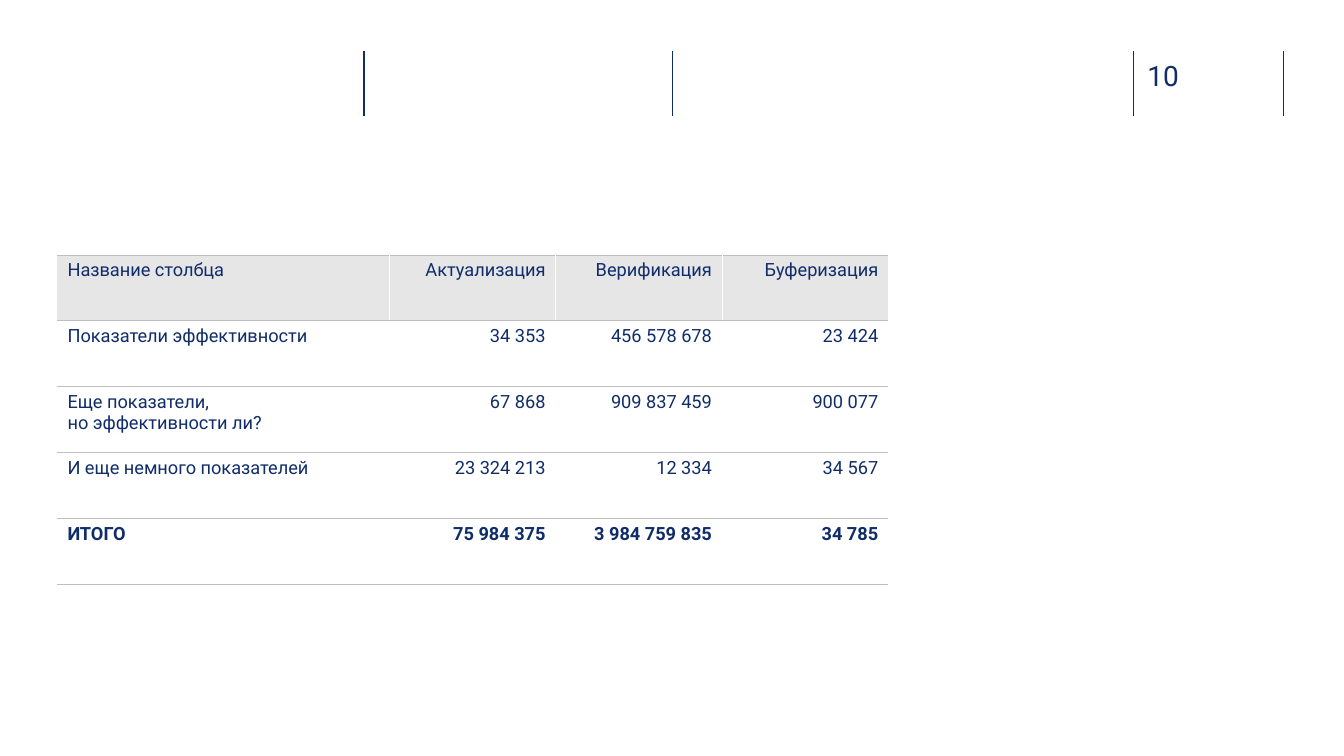
"""Build a slide with a header rule row, a page number and a table of indicators."""
from copy import deepcopy
from lxml import etree
from pptx import Presentation, util as u
from pptx.dml.color import RGBColor
from pptx.enum import shapes, text
from pptx.oxml.ns import qn

NAVY, GRAY, HEAD, WHITE = "102D69", "BFBFBF", "E7E6E6", "FFFFFF"
FONT = "Roboto"
PAGE = "10"
ROWS = [
    ("Название столбца", "Актуализация", "Верификация", "Буферизация"),
    ("Показатели эффективности", "34 353", "456 578 678", "23 424"),
    ("Еще показатели, \nно эффективности ли?", "67 868", "909 837 459", "900 077"),
    ("И еще немного показателей", "23 324 213", "12 334", "34 567"),
    ("ИТОГО", "75 984 375", "3 984 759 835", "34 785"),
]
COL_WIDTHS = (3.29, 1.65, 1.65, 1.65)
TABLE_LEFT, TABLE_TOP, TABLE_HEIGHT = 0.57, 2.53, 3.27
RULE_XS = (3.61, 6.67, 11.24, 12.73)
RULE_TOP, RULE_BOTTOM = 0.51, 1.15


def color(value):
    return RGBColor.from_string(value)


def write(tf, content, size=13, bold=False, align=text.PP_ALIGN.LEFT):
    p = tf.paragraphs[0]
    p.text = content
    p.alignment = align
    for r in p.runs:
        r.font.name = FONT
        r.font.size = u.Pt(size)
        r.font.bold = bold
        r.font.color.rgb = color(NAVY)
    for br in p._p.findall(qn("a:br")):
        br.append(deepcopy(p.runs[0]._r.rPr))


def set_border(cell, side, width=0, line=None):
    ln = etree.SubElement(cell._tc.get_or_add_tcPr(), qn(f"a:ln{side}"))
    if line is None:
        etree.SubElement(ln, qn("a:noFill"))
        return
    ln.set("w", str(u.Pt(width)))
    fill = etree.SubElement(ln, qn("a:solidFill"))
    etree.SubElement(fill, qn("a:srgbClr"), val=line)


def add_rule(s, x):
    ends = [u.Inches(v) for v in (x, RULE_TOP, x, RULE_BOTTOM)]
    rule = s.shapes.add_connector(shapes.MSO_CONNECTOR.STRAIGHT, *ends)
    rule.line.color.rgb = color(NAVY)
    rule.line.width = u.Pt(1)
    etree.SubElement(rule._element.spPr, qn("a:effectLst"))


def add_page_number(s):
    box = [u.Inches(v) for v in (11.38, 0.58, 0.73, 0.34)]
    tf = s.shapes.add_textbox(*box).text_frame
    tf.word_wrap = True
    tf.margin_left = tf.margin_top = tf.margin_right = tf.margin_bottom = 0
    write(tf, PAGE, size=20)


def add_indicators(s):
    box = [u.Inches(v) for v in (TABLE_LEFT, TABLE_TOP, sum(COL_WIDTHS), TABLE_HEIGHT)]
    table = s.shapes.add_table(len(ROWS), len(COL_WIDTHS), *box).table
    table.first_row = table.horz_banding = False
    for col, width in zip(table.columns, COL_WIDTHS):
        col.width = u.Inches(width)
    last_row, last_col = len(ROWS) - 1, len(COL_WIDTHS) - 1
    for i, row in enumerate(ROWS):
        for j, content in enumerate(row):
            cell = table.cell(i, j)
            align = text.PP_ALIGN.RIGHT if j else text.PP_ALIGN.LEFT
            write(cell.text_frame, content, bold=i == last_row, align=align)
            set_border(cell, "L", 0.25, WHITE if j else None)
            set_border(cell, "R", 0.25, WHITE if j < last_col else None)
            set_border(cell, "T", 0.75, GRAY)
            set_border(cell, "B", 0.75, GRAY)
            if i == 0:
                cell.fill.solid()
                cell.fill.fore_color.rgb = color(HEAD)
            else:
                cell.fill.background()


def main():
    prs = Presentation()
    prs.slide_width, prs.slide_height = u.Inches(13.33), u.Inches(7.5)
    s = prs.slides.add_slide(prs.slide_layouts[6])
    for x in RULE_XS:
        add_rule(s, x)
    add_page_number(s)
    add_indicators(s)
    prs.save("out.pptx")


if __name__ == "__main__":
    main()
